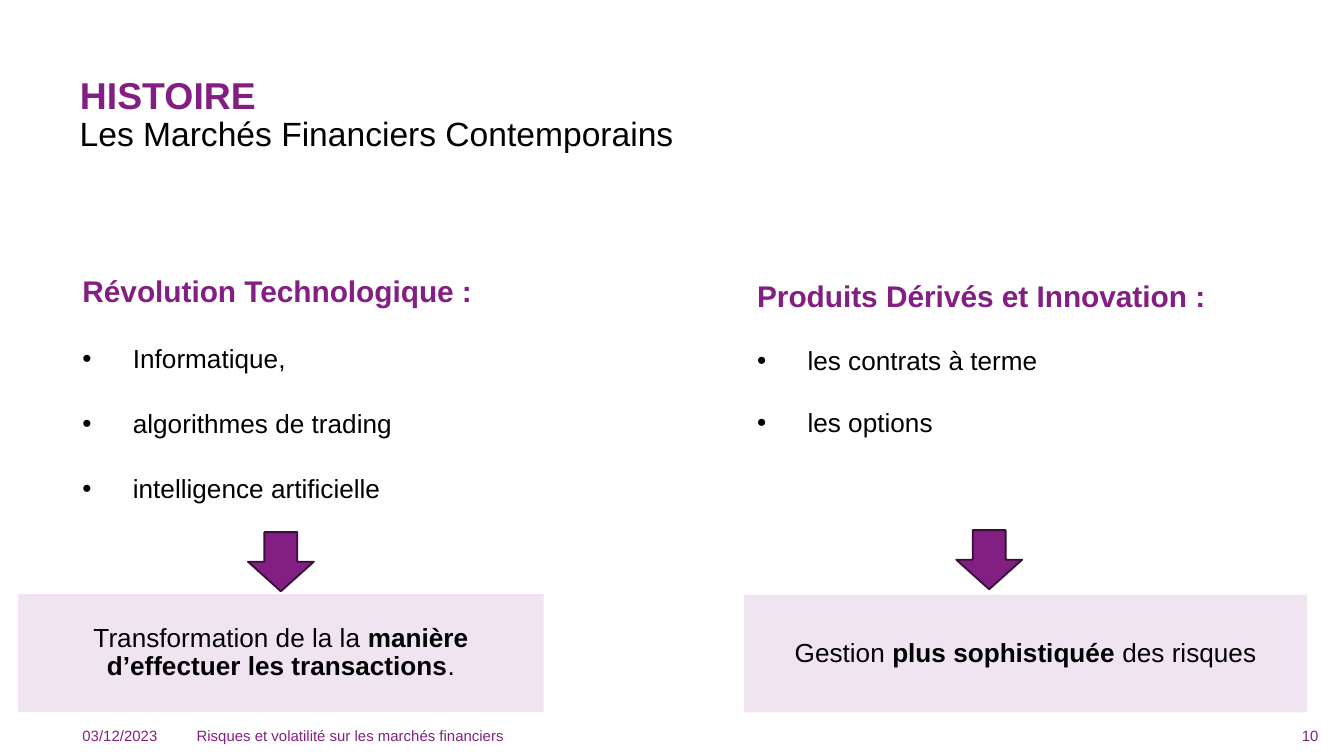
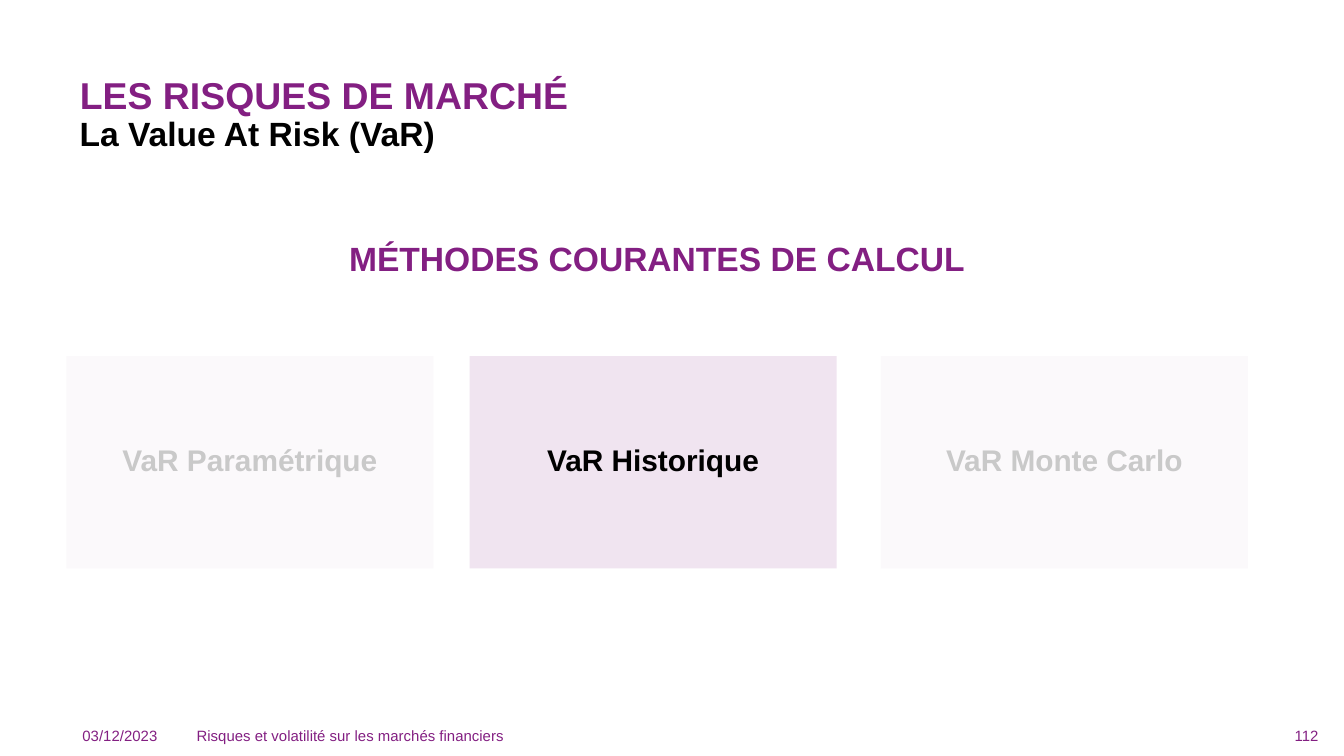
from lxml.etree import SubElement
from pptx import Presentation
from pptx.dml.color import RGBColor
from pptx.enum.shapes import MSO_SHAPE as SHAPE
from pptx.enum.text import MSO_ANCHOR as ANCHOR, MSO_AUTO_SIZE as AUTO_SIZE, PP_ALIGN as ALIGN
from pptx.oxml.ns import qn
from pptx.util import Pt

PX = 4572
SLIDE_SIZE = (2000, 1125)
FONT = "Arial"
PURPLE, DARK_PURPLE, LILAC = "831F82", "390E39", "F0E4F0"
BLACK, WHITE = "000000", "FFFFFF"

DATE = "03/12/2023"
FOOTER = "Risques et volatilité sur les marchés financiers"

HISTORY = {
    "title": "HISTOIRE",
    "subtitle": "Les Marchés Financiers Contemporains",
    "subtitle_bold": False,
    "number": "10",
}
COLUMNS = [
    {
        "heading": "Révolution Technologique :",
        "bullets": ["Informatique,", "algorithmes de trading", "intelligence artificielle"],
        "bullet_spacing": 1.0,
        "list_box": (103, 309, 782, 544),
        "arrow_box": (369, 792, 98, 88),
        "result_box": (27, 884, 782, 176),
        "result": [("Transformation de la la ", False),
                   ("manière d’effectuer les transactions", True), (".", False)],
    },
    {
        "heading": "Produits Dérivés et Innovation :",
        "bullets": ["les contrats à terme", "les options"],
        "bullet_spacing": 0.9,
        "list_box": (1107, 176, 838, 720),
        "arrow_box": (1423, 789, 98, 88),
        "result_box": (1107, 885, 838, 175),
        "result": [("Gestion ", False), ("plus sophistiquée ", True), ("des risques", False)],
    },
]

RISKS = {
    "title": "LES RISQUES DE MARCHÉ",
    "subtitle": "La Value At Risk (VaR)",
    "subtitle_bold": True,
    "number": "112",
}
METHODS_HEADING = "MÉTHODES COURANTES DE CALCUL"
METHODS = [("VaR Paramétrique", 99), ("VaR Historique", 699), ("VaR Monte Carlo", 1311)]
VEILS = [(1300, 470), (54, 418)]


def color(value):
    return RGBColor.from_string(value)


def box_lengths(box):
    return [length * PX for length in box]


def style_frame(shape, anchor=ANCHOR.MIDDLE, insets=(20, 10, 20, 10)):
    frame = shape.text_frame
    frame.word_wrap = True
    frame.auto_size = AUTO_SIZE.NONE
    frame.vertical_anchor = anchor
    (frame.margin_left, frame.margin_top,
     frame.margin_right, frame.margin_bottom) = box_lengths(insets)
    return frame


def write(paragraph, runs, size, ink=BLACK, align=ALIGN.LEFT, spacing=1.0):
    paragraph.alignment = align
    paragraph.line_spacing = spacing
    for text, bold in runs:
        run = paragraph.add_run()
        run.text = text
        run.font.name = FONT
        run.font.size = Pt(size)
        run.font.bold = bold
        run.font.color.rgb = color(ink)


def add_text(slide, box, text, size, ink=PURPLE, bold=False, align=ALIGN.LEFT,
             spacing=1.0, **frame_style):
    shape = slide.shapes.add_textbox(*box_lengths(box))
    frame = style_frame(shape, **frame_style)
    write(frame.paragraphs[0], [(text, bold)], size, ink, align, spacing)
    return frame


def add_shape(slide, kind, box, fill, line=None):
    shape = slide.shapes.add_shape(kind, *box_lengths(box))
    shape.shadow.inherit = False
    shape.fill.solid()
    shape.fill.fore_color.rgb = color(fill)
    if line:
        shape.line.color.rgb = color(line)
        shape.line.width = Pt(1)
    else:
        shape.line.fill.background()
    return shape


def add_card(slide, box, runs, size):
    card = add_shape(slide, SHAPE.RECTANGLE, box, LILAC)
    write(style_frame(card).paragraphs[0], runs, size, align=ALIGN.CENTER, spacing=0.9)


def add_bullet(frame, text, spacing):
    paragraph = frame.add_paragraph()
    properties = paragraph._p.get_or_add_pPr()
    properties.set("marL", str(75 * PX))
    properties.set("indent", str(-75 * PX))
    SubElement(properties, qn("a:buFont"), typeface=FONT)
    SubElement(properties, qn("a:buChar"), char="•")
    paragraph.space_before = Pt(18)
    write(paragraph, [(text, False)], 14, spacing=spacing)


def add_veil(slide, left, top):
    veil = add_shape(slide, SHAPE.RECTANGLE, (left, top, 602, 478), WHITE)
    fill_color = veil._element.spPr.find(qn("a:solidFill"))[0]
    SubElement(fill_color, qn("a:alpha"), val="79000")


def add_base_slide(presentation, content):
    slide = presentation.slides.add_slide(presentation.slide_layouts[5])
    title = slide.shapes.title
    title.left, title.top, title.width, title.height = box_lengths((99, 116, 1746, 60))
    frame = style_frame(title, insets=(20, 0, 20, 0))
    write(frame.paragraphs[0], [(content["title"], True)], 20, PURPLE, spacing=0.85)
    add_text(slide, (99, 177, 1746, 116), content["subtitle"], 18, BLACK,
             content["subtitle_bold"], spacing=0.85, anchor=ANCHOR.TOP, insets=(20, 0, 20, 10))
    add_text(slide, (103, 1064, 170, 62), DATE, 8)
    add_text(slide, (273, 1064, 1574, 62), FOOTER, 8)
    add_text(slide, (1850, 1064, 132, 62), content["number"], 8, align=ALIGN.RIGHT)
    return slide


def build_history(presentation):
    slide = add_base_slide(presentation, HISTORY)
    for column in COLUMNS:
        frame = add_text(slide, column["list_box"], column["heading"], 16, bold=True, spacing=0.9)
        for bullet in column["bullets"]:
            add_bullet(frame, bullet, column["bullet_spacing"])
        add_card(slide, column["result_box"], column["result"], 14)
        add_shape(slide, SHAPE.DOWN_ARROW, column["arrow_box"], PURPLE, DARK_PURPLE)


def build_risks(presentation):
    slide = add_base_slide(presentation, RISKS)
    add_text(slide, (102, 337, 1752, 102), METHODS_HEADING, 18, bold=True,
             align=ALIGN.CENTER, spacing=0.9)
    for method, left in METHODS:
        add_card(slide, (left, 530, 546, 316), [(method, True)], 16)
    for left, top in VEILS:
        add_veil(slide, left, top)


def main():
    presentation = Presentation()
    presentation.slide_width, presentation.slide_height = box_lengths(SLIDE_SIZE)
    build_history(presentation)
    build_risks(presentation)
    presentation.save("out.pptx")


if __name__ == "__main__":
    main()
